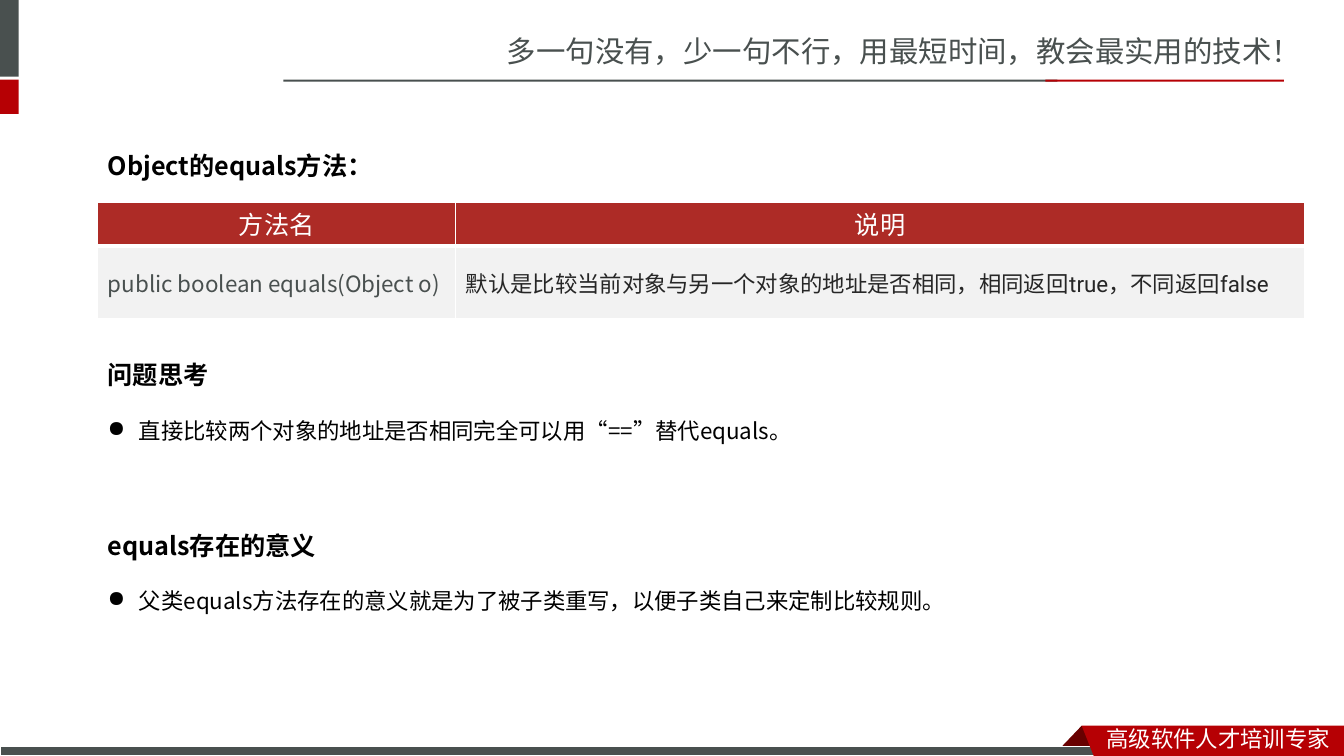
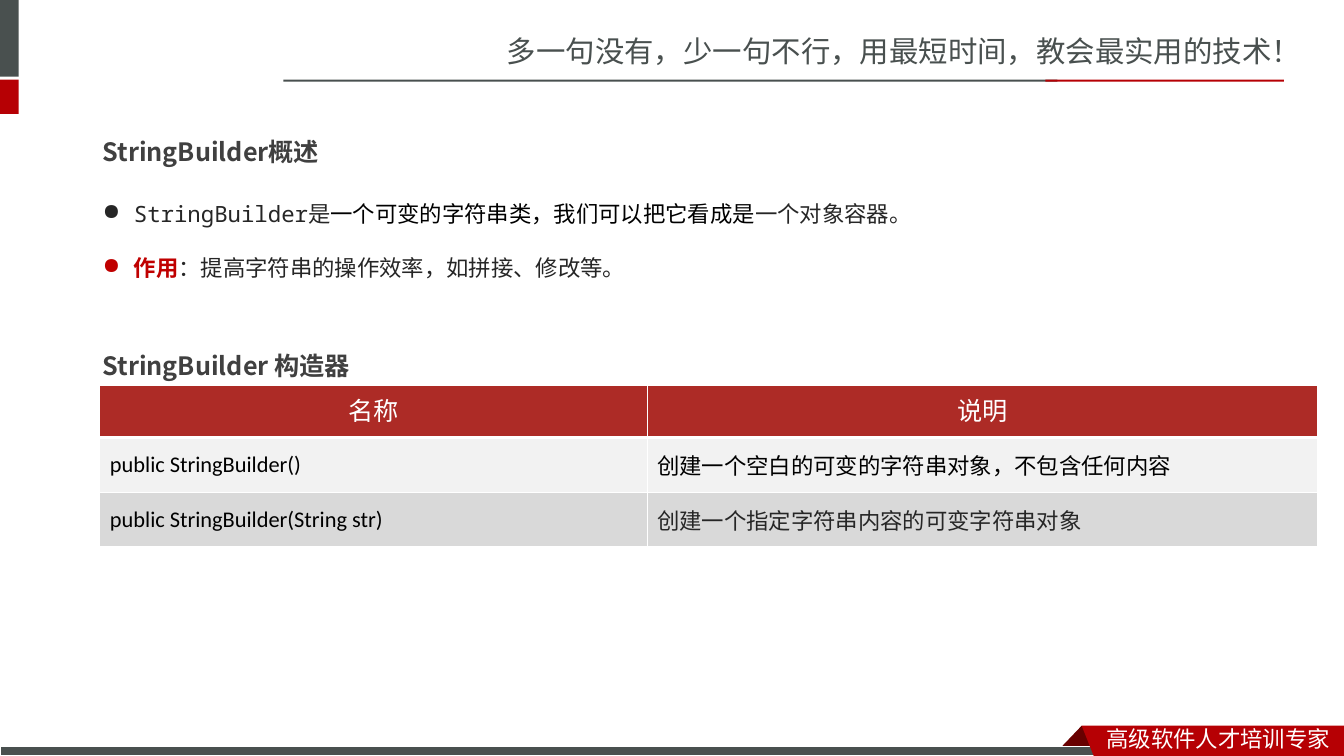
from dataclasses import dataclass

from lxml.etree import SubElement
from pptx import Presentation
from pptx.dml.color import RGBColor
from pptx.enum.shapes import MSO_SHAPE
from pptx.enum.text import MSO_ANCHOR, PP_ALIGN
from pptx.oxml.ns import qn
from pptx.util import Inches, Pt

SLATE = RGBColor(0x49, 0x50, 0x4F)
RED = RGBColor(0xB6, 0x00, 0x04)
DARK_RED = RGBColor(0x68, 0x00, 0x00)
HEADER_RED = RGBColor(0xAD, 0x2B, 0x26)
ACCENT_RED = RGBColor(0xC0, 0x00, 0x00)
BLACK = RGBColor(0x00, 0x00, 0x00)
CHARCOAL = RGBColor(0x26, 0x26, 0x26)
GRAPHITE = RGBColor(0x40, 0x40, 0x40)
WHITE = RGBColor(0xFF, 0xFF, 0xFF)
LIGHT = RGBColor(0xF2, 0xF2, 0xF2)
MIDDLE = RGBColor(0xD9, 0xD9, 0xD9)

SANS_SC = "Noto Sans CJK SC"
SANS_JP = "Noto Sans CJK JP"
MONO = "Noto Sans Mono"
ROBOTO = "Roboto"
CALIBRI = "Calibri"

TITLE = "多一句没有，少一句不行，用最短时间，教会最实用的技术！"
SLOGAN = "高级软件人才培训专家"


@dataclass
class Box:
    left: int
    top: int
    width: int
    height: int

    def point(self, across, down):
        return (int(self.left + self.width * across / 100),
                int(self.top + self.height * down / 100))

    def area(self, across, down, width, height):
        return Box(*self.point(across, down),
                   int(self.width * width / 100), int(self.height * height / 100))

    def frame(self):
        return self.left, self.top, self.width, self.height


@dataclass
class Words:
    text: str
    color: RGBColor = BLACK
    size: int = 16
    font: str = SANS_JP
    bold: bool = False


def add_words(paragraph, words):
    run = paragraph.add_run()
    run.text = words.text
    font = run.font
    font.size, font.bold = Pt(words.size), words.bold
    font.color.rgb = words.color
    font.name = words.font
    east_asian = SANS_SC if words.font in (MONO, ROBOTO, CALIBRI) else words.font
    SubElement(run._r.get_or_add_rPr(), qn("a:ea")).set("typeface", east_asian)


def add_bullet(paragraph):
    properties = paragraph._p.get_or_add_pPr()
    indent = Inches(0.31)
    properties.set("marL", str(indent))
    properties.set("indent", str(-indent))
    SubElement(properties, qn("a:buChar")).set("char", "●")


def add_text(slide, box, lines, spacing=1.0, bullets=(), gaps=None):
    text_frame = slide.shapes.add_textbox(*box.frame()).text_frame
    text_frame.word_wrap = True
    for index, line in enumerate(lines):
        paragraph = text_frame.paragraphs[0] if index == 0 else text_frame.add_paragraph()
        if index in bullets:
            add_bullet(paragraph)
        paragraph.line_spacing = spacing
        if gaps and index in gaps:
            paragraph.space_before = Pt(gaps[index])
        for words in line:
            add_words(paragraph, words)


def paint(shape, color, outline=None):
    shape.shadow.inherit = False
    shape.fill.solid()
    shape.fill.fore_color.rgb = color
    if outline is None:
        shape.line.fill.background()
    else:
        shape.line.color.rgb = outline
        shape.line.width = Pt(0.75)


def add_band(slide, box, color, outline=None):
    paint(slide.shapes.add_shape(MSO_SHAPE.RECTANGLE, *box.frame()), color, outline)


def add_polygon(slide, points, color):
    builder = slide.shapes.build_freeform(*points[0], scale=1.0)
    builder.add_line_segments(points[1:], close=True)
    paint(builder.convert_to_shape(), color)


def add_header(slide, box):
    add_text(slide, box.area(36.98, 3.73, 63.02, 6.27), [[Words(TITLE, SLATE, 21, SANS_SC)]])
    add_band(slide, box.area(0, 0, 1.4, 10.13), SLATE)
    add_band(slide, box.area(0, 10.53, 1.4, 4.53), RED)
    add_band(slide, box.area(21.08, 10.53, 57.6, 0.27), SLATE)
    add_band(slide, box.area(77.78, 10.53, 17.75, 0.27), RED)


def add_footer(slide, box):
    fold = [(80.48, 96), (82.13, 99.07), (78.83, 99.07)]
    ribbon = [(80.48, 96), (100, 96), (100, 100), (81.38, 100)]
    add_polygon(slide, [box.point(*corner) for corner in fold], DARK_RED)
    add_band(slide, box.area(0, 98.8, 82.43, 1.2), SLATE, WHITE)
    add_polygon(slide, [box.point(*corner) for corner in ribbon], RED)
    add_text(slide, box.area(81.6, 95.33, 18.4, 4.67), [[Words(SLOGAN, WHITE, 16, SANS_SC)]])


def add_border(cell, side, points):
    line = SubElement(cell._tc.get_or_add_tcPr(), qn(f"a:ln{side}"), w=str(Pt(points)))
    fill = SubElement(line, qn("a:solidFill"))
    SubElement(fill, qn("a:srgbClr"), val=str(WHITE))


def add_grid(slide, box, column_shares, row_shares, headings, body):
    rows = [[Words(text, WHITE, 18, ROBOTO) for text in headings], *body]
    table = slide.shapes.add_table(len(rows), len(headings), *box.frame()).table
    for column, share in zip(table.columns, column_shares):
        column.width = int(box.width * share / sum(column_shares))
    for row, share in zip(table.rows, row_shares):
        row.height = int(box.height * share / sum(row_shares))
    for row_index, row in enumerate(rows):
        for column_index, words in enumerate(row):
            cell = table.cell(row_index, column_index)
            cell.vertical_anchor = MSO_ANCHOR.MIDDLE
            widths = {"L": 1, "R": 1, "T": 3 if row_index == 1 else 1,
                      "B": 3 if row_index == 0 else 1}
            for side, points in widths.items():
                add_border(cell, side, points)
            cell.fill.solid()
            cell.fill.fore_color.rgb = (HEADER_RED, LIGHT, MIDDLE)[row_index]
            paragraph = cell.text_frame.paragraphs[0]
            if row_index == 0:
                paragraph.alignment = PP_ALIGN.CENTER
                paragraph.line_spacing = Pt(24)
            add_words(paragraph, words)


def heading(text, color=BLACK):
    return [Words(text, color, 18, bold=True)]


def build_equals_slide(slide, box):
    add_text(slide, box.area(7.28, 42.93, 75.23, 38.93), [
        heading("问题思考"),
        [Words("直接比较两个对象的地址是否相同完全可以用“==”替代equals。")],
        heading("equals存在的意义"),
        [Words("父类equals方法存在的意义就是为了被子类重写，以便子类自己来定制比较规则。")],
    ], spacing=2.0, bullets=(1, 3), gaps={2: 40})
    add_grid(slide, box.area(7.28, 26.8, 89.78, 15.07), (3.55, 8.42), (0.41, 0.72),
             ("方法名", "说明"), [[
                 Words("public boolean equals(Object o)", SLATE, font=SANS_SC),
                 Words("默认是比较当前对象与另一个对象的地址是否相同，相同返回true，不同返回false",
                       CHARCOAL, font=ROBOTO)]])
    add_text(slide, box.area(7.28, 19.2, 50, 5.33), [heading("Object的equals方法：")])


def build_string_builder_slide(slide, box):
    for top, text in ((15.33, "StringBuilder概述"), (43.73, "StringBuilder 构造器")):
        add_text(slide, box.area(6.9, top, 38.4, 6.8), [heading(text, GRAPHITE)], spacing=1.5)
    add_text(slide, box.area(6.9, 22.27, 71.5, 14.67), [
        [Words("StringBuilder是", CHARCOAL, font=MONO),
         Words("一个可变的字符串类，我们可以把它看成是", font=MONO),
         Words("一个对象容器。", CHARCOAL, font=MONO)],
        [Words("作用", ACCENT_RED, font=MONO, bold=True),
         Words("：提高字符串的操作效率，如拼接、修改等。", CHARCOAL, font=MONO)],
    ], spacing=2.0, bullets=(0, 1))
    add_grid(slide, box.area(7.43, 50.93, 90.6, 21.33), (5.43, 6.65), (0.52, 0.55, 0.53),
             ("名称", "说明"), [
                 [Words("public StringBuilder()", font=CALIBRI),
                  Words("创建一个空白的可变的字符串对象，不包含任何内容", font=CALIBRI)],
                 [Words("public StringBuilder(String str)", font=CALIBRI),
                  Words("创建一个指定字符串内容的可变字符串对象", CHARCOAL, font=ROBOTO)]])


def main():
    presentation = Presentation()
    presentation.slide_width, presentation.slide_height = Inches(13.33), Inches(7.5)
    page = Box(0, 0, presentation.slide_width, presentation.slide_height)
    for build in (build_equals_slide, build_string_builder_slide):
        slide = presentation.slides.add_slide(presentation.slide_layouts[6])
        add_header(slide, page)
        add_footer(slide, page)
        build(slide, page)
    presentation.save("out.pptx")


if __name__ == "__main__":
    main()
